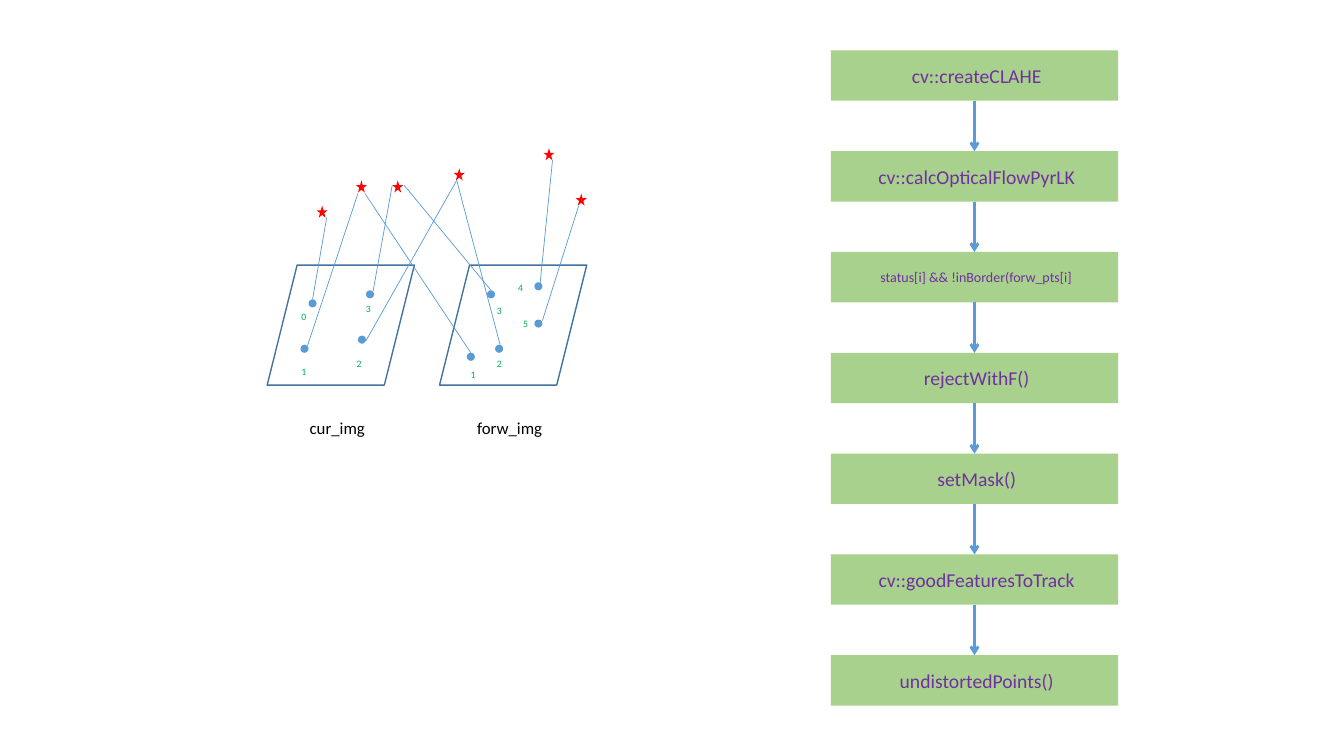
from collections import namedtuple
from dataclasses import dataclass

from pptx import Presentation
from pptx.dml.color import RGBColor as Rgb
from pptx.enum.shapes import MSO_CONNECTOR as Connector, MSO_SHAPE as Shape
from pptx.enum.text import MSO_ANCHOR as Anchor, MSO_AUTO_SIZE as AutoSize, PP_ALIGN as Align
from pptx.oxml.ns import qn
from pptx.util import Inches, Pt
from lxml.etree import SubElement

# The slide is a grid of square cells; every length is counted in cells
CELL = Inches(0.01)
SLIDE_COLS, SLIDE_ROWS = 1333, 750

Box = namedtuple("Box", "left top width height")
Sighting = namedtuple("Sighting", "number dot label star leave arrive")


@dataclass(frozen=True)
class Theme:
    font: str = "Calibri"
    accent: Rgb = Rgb(0x5B, 0x9B, 0xD5)
    frame: Rgb = Rgb(0x43, 0x73, 0x9E)
    landmark: Rgb = Rgb(0xFF, 0x00, 0x00)
    number: Rgb = Rgb(0x00, 0xB0, 0x50)
    caption: Rgb = Rgb(0x00, 0x00, 0x00)
    step_fill: Rgb = Rgb(0xA9, 0xD1, 0x8E)
    step_text: Rgb = Rgb(0x70, 0x30, 0xA0)
    step_lead: Rgb = Rgb(0xFF, 0xFF, 0xFF)
    step_size: float = 14
    long_step_size: float = 10
    caption_size: float = 12
    number_size: float = 7
    frame_line: float = 1
    ray_line: float = 0.5
    arrow_line: float = 2


THEME = Theme()

# Columns and rows inside the tracking diagram
STARS = {"A": (49, 57), "B": (88, 32), "C": (124, 32),
         "D": (185, 20), "E": (274, 0), "F": (306, 45)}
STAR_SIZE, DOT_SIZE = (11, 12), (8, 8)
FRAMES = [("cur_img", 0), ("forw_img", 171)]

# Each feature point, its number, and its ray: leave and arrive are
# offsets from the corners of the star and of the dot
SIGHTINGS = [
    Sighting("0", (41, 150), (24, 156), "A", (10, 12), (4, 0)),
    Sighting("1", (33, 195), (24, 211), "B", (2, 13), (7, 1)),
    Sighting("2", (90, 186), (79, 203), "D", (3, 12), (8, 5)),
    Sighting("3", (98, 141), (88, 148), "C", (0, 5), (7, 1)),
    Sighting("1", (198, 203), (192, 214), "B", (9, 13), (4, 0)),
    Sighting("2", (226, 195), (218, 203), "D", (3, 12), (5, 0)),
    Sighting("3", (218, 141), (218, 150), "C", (12, 5), (4, 0)),
    Sighting("4", (265, 133), (239, 128), "E", (9, 12), (5, 8)),
    Sighting("5", (265, 170), (244, 163), "F", (3, 12), (8, 1)),
]

STEPS = ["cv::createCLAHE", "cv::calcOpticalFlowPyrLK",
         "status[i] && !inBorder(forw_pts[i]", "rejectWithF()", "setMask()",
         "cv::goodFeaturesToTrack", "undistortedPoints()"]
LONG_STEP = 30


def cells(*counts):
    return [round(count * CELL) for count in counts]


def shift(origin, offset):
    return origin[0] + offset[0], origin[1] + offset[1]


def add_run(paragraph, text, size, color):
    run = paragraph.add_run()
    run.text = text
    run.font.name = THEME.font
    run.font.size = Pt(size)
    run.font.color.rgb = color


def add_block(shapes, kind, box, fill=None, outline=None):
    block = shapes.add_shape(kind, *cells(*box))
    block.shadow.inherit = False
    if fill is None:
        block.fill.background()
    else:
        block.fill.solid()
        block.fill.fore_color.rgb = fill
    if outline is None:
        block.line.fill.background()
    else:
        block.line.color.rgb = outline
        block.line.width = Pt(THEME.frame_line)
    return block


def add_label(shapes, text, box, size, color, align=Align.LEFT, wrap=False):
    frame = shapes.add_textbox(*cells(*box)).text_frame
    frame.word_wrap = wrap
    frame.auto_size = AutoSize.SHAPE_TO_FIT_TEXT
    frame.paragraphs[0].alignment = align
    add_run(frame.paragraphs[0], text, size, color)


def add_line(shapes, start, end, width, arrow=False):
    line = shapes.add_connector(Connector.STRAIGHT, *cells(*start, *end))
    line.line.color.rgb = THEME.accent
    line.line.width = Pt(width)
    if arrow:
        SubElement(line.line._get_or_add_ln(), qn("a:tailEnd"), type="arrow")
    SubElement(line._element.spPr, qn("a:effectLst"))
    return line


def draw_tracking(slide, box):
    """Stars seen from two image frames, with numbered feature points."""
    shapes, corner = slide.shapes, (box.left, box.top)

    # Image frames with captions
    for caption, column in FRAMES:
        group = slide.shapes.add_group_shape().shapes
        left, top = shift(corner, (column, 116))
        add_block(group, Shape.PARALLELOGRAM, Box(left, top, 146, 119), outline=THEME.frame)
        add_label(group, caption, Box(left + 14, top + 147, 111, 30),
                  THEME.caption_size, THEME.caption, Align.CENTER, wrap=True)

    # Stars
    for place in STARS.values():
        add_block(shapes, Shape.STAR_5_POINT, Box(*shift(corner, place), *STAR_SIZE),
                  THEME.landmark)

    # Feature points, rays and numbers
    for point in SIGHTINGS:
        dot, star = shift(corner, point.dot), shift(corner, STARS[point.star])
        add_block(shapes, Shape.FLOWCHART_CONNECTOR, Box(*dot, *DOT_SIZE), THEME.accent)
        add_line(shapes, shift(star, point.leave), shift(dot, point.arrive), THEME.ray_line)
        add_label(shapes, point.number, Box(*shift(corner, point.label), 26, 22),
                  THEME.number_size, THEME.number)


def draw_flow(slide, box):
    """Steps stacked from top to bottom, with gaps as tall as the steps."""
    height = box.height / (2 * len(STEPS) - 1)
    blocks = []
    for row, step in enumerate(STEPS):
        block = add_block(slide.shapes, Shape.RECTANGLE,
                          Box(box.left, box.top + 2 * row * height, box.width, height),
                          THEME.step_fill)
        frame = block.text_frame
        frame.word_wrap = True
        frame.vertical_anchor = Anchor.MIDDLE
        name = frame.paragraphs[0]
        name.alignment = Align.CENTER
        size = THEME.long_step_size if len(step) > LONG_STEP else THEME.step_size
        add_run(name, " ", size, THEME.step_lead)
        add_run(name, step, size, THEME.step_text)
        blocks.append(block)

    # Arrows from the bottom of each step to the top of the next
    for upper, lower in zip(blocks, blocks[1:]):
        arrow = add_line(slide.shapes, (0, 0), (0, 0), THEME.arrow_line, arrow=True)
        arrow.begin_connect(upper, 2)
        arrow.end_connect(lower, 0)


def main():
    deck = Presentation()
    deck.slide_width, deck.slide_height = cells(SLIDE_COLS, SLIDE_ROWS)
    slide = deck.slides.add_slide(deck.slide_layouts[6])
    draw_tracking(slide, Box(265, 147, 317, 293))
    draw_flow(slide, Box(824, 50, 285, 650))
    deck.save("out.pptx")


if __name__ == "__main__":
    main()
